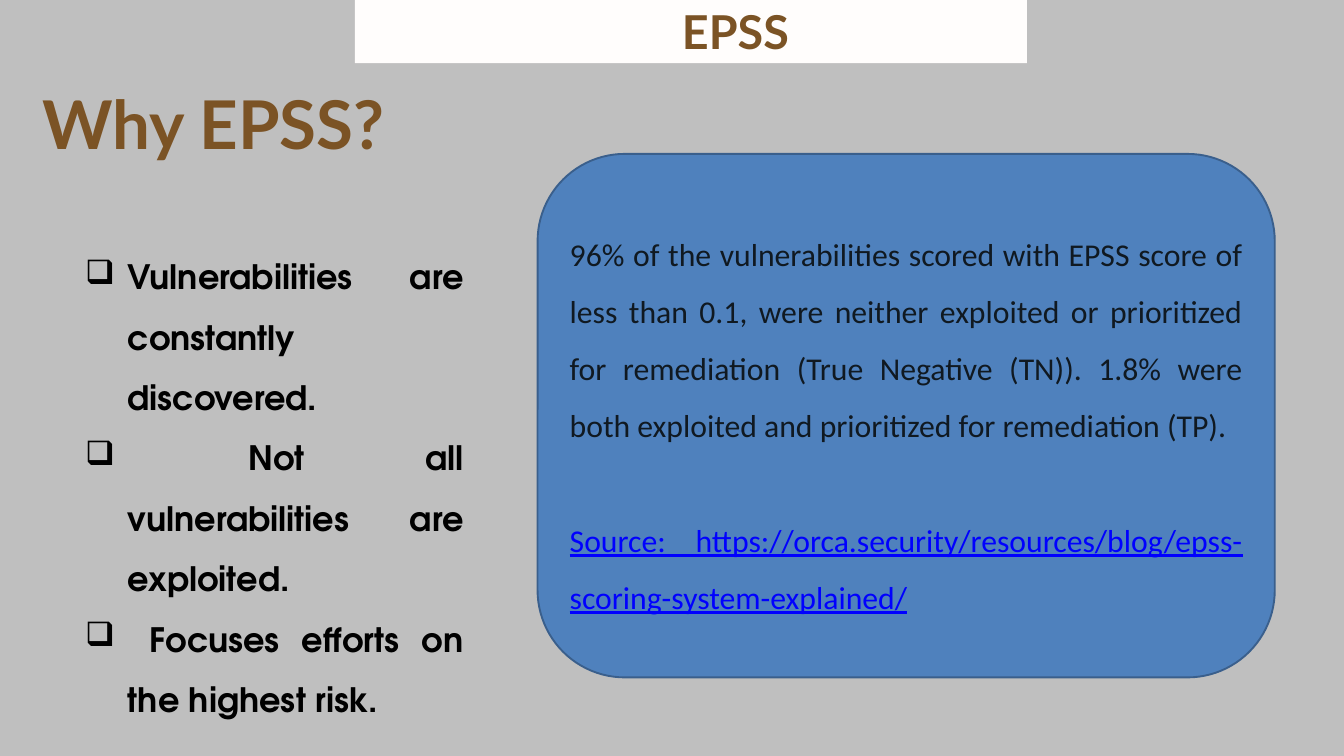
from lxml import etree
from pptx import Presentation
from pptx.dml.color import RGBColor
from pptx.enum import shapes, text
from pptx.oxml.ns import qn
from pptx.util import Inches, Pt

COLORS = {
    "background": "BFBFBF",
    "banner": "FFFDFC",
    "heading": "7B5325",
    "reason": "000000",
    "card": "4F81BD",
    "card_border": "3A5F8C",
    "finding": "101921",
    "source": "0000FF",
}
TOPIC = "EPSS"
TITLE = "Why EPSS?"
REASONS = [
    "Vulnerabilities are constantly discovered.",
    " Not all vulnerabilities are exploited.",
    " Focuses efforts on the highest risk.",
]
FINDING = (
    "96% of the vulnerabilities scored with EPSS score of less than 0.1, "
    "were neither exploited or prioritized for remediation (True Negative (TN)). "
    "1.8% were both exploited and prioritized for remediation (TP)."
)
SOURCE = "Source: https://orca.security/resources/blog/epss-scoring-system-explained/"
HANGING = 0.63


def rgb(name):
    return RGBColor.from_string(COLORS[name])


def add_panel(slide, kind, box, fill):
    panel = slide.shapes.add_shape(kind, *map(Inches, box))
    panel.shadow.inherit = False
    panel.fill.solid()
    panel.fill.fore_color.rgb = rgb(fill)
    return panel


def add_frame(slide, box, inset=None, grow=False):
    frame = slide.shapes.add_textbox(*map(Inches, box)).text_frame
    frame.word_wrap = True
    if grow:
        frame.auto_size = text.MSO_AUTO_SIZE.SHAPE_TO_FIT_TEXT
    if inset is not None:
        frame.margin_left = frame.margin_right = Inches(inset)
        frame.margin_top = frame.margin_bottom = Inches(inset)
    return frame


def add_bullet(paragraph):
    properties = paragraph._p.get_or_add_pPr()
    properties.set("marL", str(Inches(HANGING)))
    properties.set("indent", str(-Inches(HANGING)))
    etree.SubElement(properties, qn("a:buFont")).set("typeface", "Wingdings")
    etree.SubElement(properties, qn("a:buChar")).set("char", "q")


def write(frame, lines, font, size, colors, spacing, align, bold=False, bulleted=False):
    for index, (line, color) in enumerate(zip(lines, colors)):
        paragraph = frame.add_paragraph() if index else frame.paragraphs[0]
        paragraph.text = line
        paragraph.alignment = align
        paragraph.line_spacing = spacing
        if bulleted:
            add_bullet(paragraph)
        paragraph.font.name = font
        paragraph.font.size = Pt(size)
        paragraph.font.bold = bold
        paragraph.font.color.rgb = rgb(color)


def main():
    deck = Presentation()
    deck.slide_width, deck.slide_height = Inches(20), Inches(11.25)
    slide = deck.slides.add_slide(deck.slide_layouts[6])
    slide.background.fill.solid()
    slide.background.fill.fore_color.rgb = rgb("background")

    align = text.PP_ALIGN
    banner = add_panel(slide, shapes.MSO_SHAPE.RECTANGLE, (5.28, -10.31, 10, 11.25), "banner")
    banner.line.fill.background()

    topic = add_frame(slide, (8.82, -0.1, 2.92, 0.93), inset=0, grow=True)
    write(topic, [TOPIC], "Lato", 50, ["heading"], Pt(70), align.RIGHT, bold=True)

    title = add_frame(slide, (0.43, 0.98, 17.98, 1.65), inset=0.2)
    title.vertical_anchor = text.MSO_ANCHOR.BOTTOM
    write(title, [TITLE], "Lato", 72, ["heading"], Pt(100.8), align.LEFT, bold=True)

    reasons = add_frame(slide, (1.17, 3.46, 5.83, 5.46), grow=True)
    write(reasons, REASONS, "TeX Gyre Adventor", 36, ["reason"] * len(REASONS),
          1.5, align.JUSTIFY, bold=True, bulleted=True)

    card = add_panel(slide, shapes.MSO_SHAPE.ROUNDED_RECTANGLE, (8, 2.29, 10.97, 7.79), "card")
    card.line.color.rgb = rgb("card_border")
    card.line.width = Pt(2)
    evidence = card.text_frame
    evidence.word_wrap = True
    evidence.vertical_anchor = text.MSO_ANCHOR.MIDDLE
    write(evidence, [FINDING, SOURCE], "Calibri", 34, ["finding", "source"], 1.5, align.JUSTIFY)
    source = evidence.paragraphs[-1]
    source.space_before = Pt(62)
    source.font.underline = True

    deck.save("out.pptx")


if __name__ == "__main__":
    main()
